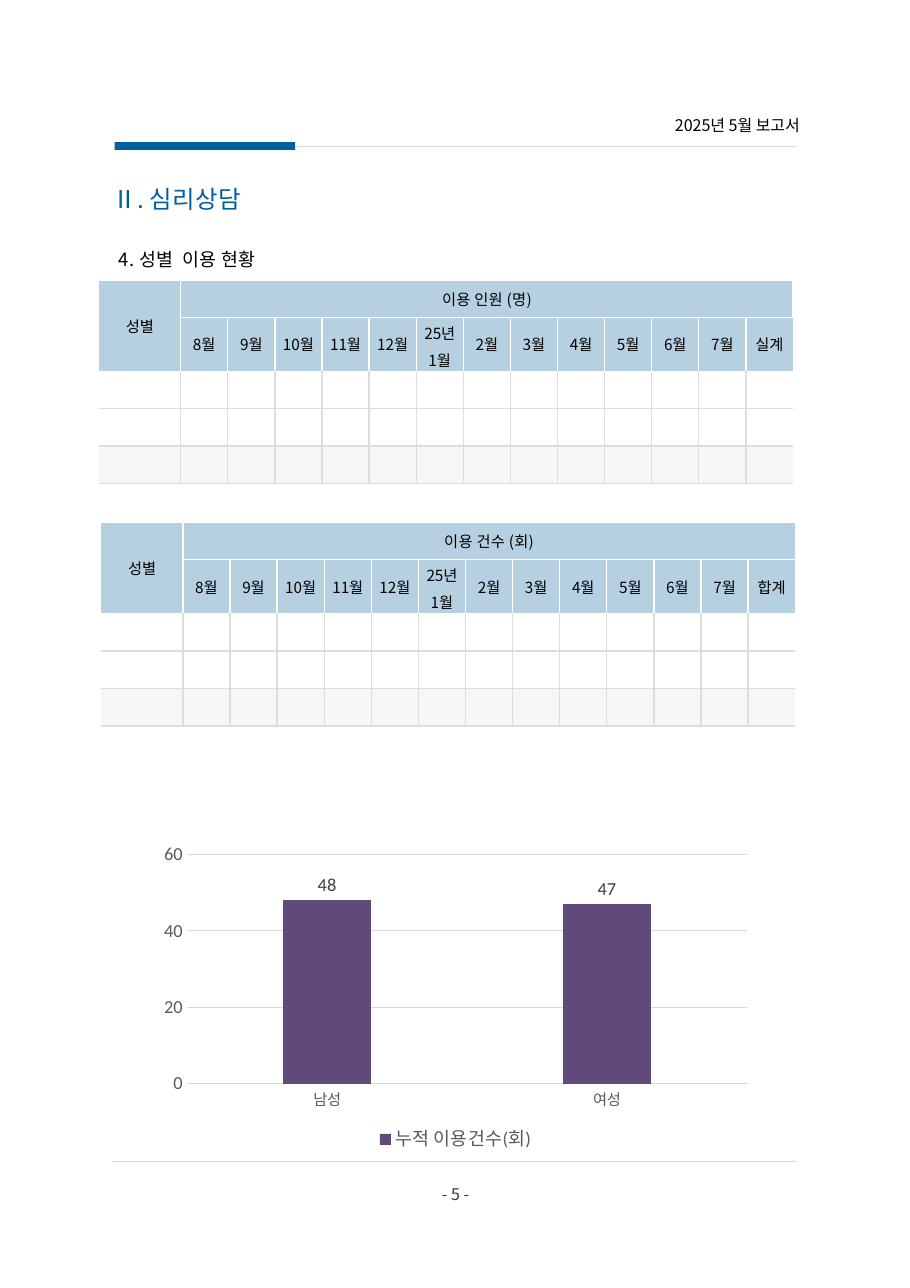
from lxml import etree
from pptx import Presentation
from pptx.chart.data import CategoryChartData
from pptx.dml.color import RGBColor
from pptx.enum.chart import XL_CHART_TYPE, XL_LABEL_POSITION, XL_LEGEND_POSITION, XL_TICK_MARK
from pptx.enum.shapes import MSO_CONNECTOR, MSO_SHAPE
from pptx.enum.text import MSO_ANCHOR, MSO_AUTO_SIZE, PP_ALIGN
from pptx.oxml.ns import qn
from pptx.util import Inches, Pt

LEFT, CENTER, RIGHT, JUSTIFY = PP_ALIGN.LEFT, PP_ALIGN.CENTER, PP_ALIGN.RIGHT, PP_ALIGN.JUSTIFY
KOREAN, LATIN = "Noto Sans CJK KR", "Calibri"
BLUE, HEAD, TOTAL, RULE, GRID = "005FA1", "B6D0E1", "F6F6F6", "D9D9D9", "DDDDDD"
rgb = RGBColor.from_string


def style(font, size, color, name=KOREAN, spacing=None):
    font.size, font.color.rgb, font.name = Pt(size), rgb(color), name
    rPr = font.fill._xPr
    etree.SubElement(rPr, qn("a:ea"), typeface=name)
    if spacing:
        rPr.set("spc", str(spacing))


def paragraph(p, size, color, align, before=0, spacing=None):
    p.alignment, p.space_before = align, Pt(before)
    for r in p.runs:
        style(r.font, size, color, spacing=spacing)


prs = Presentation()
prs.slide_width, prs.slide_height = Inches(8.26), Inches(11.69)
s = prs.slides.add_slide(prs.slide_layouts[5])

# Header and footer rules, with the blue accent bar
for x, y in ((2.51, 1.33), (1.03, 10.54)):
    rule = s.shapes.add_connector(MSO_CONNECTOR.STRAIGHT, Inches(x), Inches(y), Inches(7.23), Inches(y))
    rule.line.color.rgb, rule.line.width = rgb(RULE), Pt(0.75)
    etree.SubElement(rule._element.spPr, qn("a:effectLst"))
bar = s.shapes.add_shape(MSO_SHAPE.RECTANGLE, Inches(1.04), Inches(1.29), Inches(1.64), Inches(0.07))
bar.shadow.inherit = False
bar.fill.solid()
bar.fill.fore_color.rgb = rgb(BLUE)
bar.line.fill.background()

# Title
title = s.shapes.title
title.left, title.top, title.width, title.height = (Inches(v) for v in (0.92, 1.62, 2.34, 0.37))
tf = title.text_frame
tf.text = "Ⅱ. 심리상담"
tf.vertical_anchor, tf.auto_size = MSO_ANCHOR.TOP, MSO_AUTO_SIZE.SHAPE_TO_FIT_TEXT
paragraph(tf.paragraphs[0], 16, BLUE, LEFT, spacing=20)

# Report date, section heading and page number
texts = (
    ("2025년 5월 보고서", (5.57, 1.04, 1.69, 0.19), 0.01, 10.5, "000000", RIGHT, 1, 1, None),
    (" 4. 성별  이용 현황", (1.04, 2.07, 6.18, 0.36), 0.08, 12, "000000", JUSTIFY, 6, 1.5, 20),
    ("- 5 -", (3.93, 10.72, 0.41, 0.2), 0.03, 10.5, "333333", CENTER, 1.9, 1, None),
)
for text, box, inset, size, color, align, before, line_spacing, spacing in texts:
    tf = s.shapes.add_textbox(*(Inches(v) for v in box)).text_frame
    tf.word_wrap, tf.auto_size = True, MSO_AUTO_SIZE.SHAPE_TO_FIT_TEXT
    tf.margin_left = tf.margin_right = tf.margin_bottom = 0
    tf.margin_top = Inches(inset)
    tf.text = text
    paragraph(tf.paragraphs[0], size, color, align, before, spacing)
    tf.paragraphs[0].line_spacing = line_spacing

# Monthly tables: visitors, then visits
MONTHS = ["8월", "9월", "10월", "11월", "12월", "25년\n1월", "2월", "3월", "4월", "5월", "6월", "7월"]
ROWS = (0.34, 0.49, 0.34, 0.34, 0.34)
WIDTH, FIRST = 6.3, 0.74
COLS = len(MONTHS) + 2
for x, y, heading, last in ((0.9, 2.54, "이용 인원 (명)", "실계"), (0.92, 4.74, "이용 건수 (회)", "합계")):
    table = s.shapes.add_table(len(ROWS), COLS, Inches(x), Inches(y), Inches(WIDTH), Inches(sum(ROWS))).table
    table.first_row = table.horz_banding = False
    for i, column in enumerate(table.columns):
        column.width = Inches(FIRST if i == 0 else (WIDTH - FIRST) / (COLS - 1))
    for row, height in zip(table.rows, ROWS):
        row.height = Inches(height)
    table.cell(0, 0).merge(table.cell(1, 0))
    table.cell(0, 1).merge(table.cell(0, COLS - 1))

    labels = {(0, 0): "성별", (0, 1): heading}
    labels.update({(1, c): text for c, text in enumerate(MONTHS + [last], 1)})
    for r in range(len(ROWS)):
        for c in range(COLS):
            cell = table.cell(r, c)
            cell.margin_left = cell.margin_right = cell.margin_top = cell.margin_bottom = Inches(0.04)
            cell.vertical_anchor = MSO_ANCHOR.MIDDLE
            if (r, c) in labels:
                cell.text = labels[r, c]
                for p in cell.text_frame.paragraphs:
                    paragraph(p, 10, "000000", CENTER, 9 if r == 0 else 3.4, 20 if (r, c) == (0, 1) else None)
            else:
                etree.SubElement(cell.text_frame.paragraphs[0]._p, qn("a:endParaRPr"), sz="1000")

            # Fill and borders: white in the header, grey below, open at both sides
            if r in (2, 3):
                cell.fill.background()
            else:
                cell.fill.solid()
                cell.fill.fore_color.rgb = rgb(HEAD if r < 2 else TOTAL)
            side = "FFFFFF" if r < 2 else GRID
            edges = (("L", side if c else None), ("R", side if c < COLS - 1 else None),
                     ("T", "FFFFFF" if r < 3 else GRID), ("B", side))
            tcPr = cell._tc.get_or_add_tcPr()
            for i, (edge, color) in enumerate(edges):
                ln = etree.Element(qn("a:ln" + edge), w=str(Pt(1)))
                if color:
                    etree.SubElement(etree.SubElement(ln, qn("a:solidFill")), qn("a:srgbClr"), val=color)
                else:
                    etree.SubElement(ln, qn("a:noFill"))
                tcPr.insert(i, ln)

# Column chart of visits by gender
data = CategoryChartData()
data.categories = ["남성", "여성"]
data.add_series("누적 이용건수(회)", (48, 47))
chart = s.shapes.add_chart(XL_CHART_TYPE.COLUMN_CLUSTERED, Inches(1.38), Inches(7.6),
                           Inches(5.51), Inches(2.88), data).chart
style(chart.font, 10, "000000", LATIN)
chart.has_title = False
chart.has_legend = True
chart.legend.position, chart.legend.include_in_layout = XL_LEGEND_POSITION.BOTTOM, False
style(chart.legend.font, 12, "595959", LATIN)

plot = chart.plots[0]
plot.gap_width, plot.overlap, plot.vary_by_categories = 219, -27, False
plot.has_data_labels = True
plot.data_labels.show_value = True
plot.data_labels.position = XL_LABEL_POSITION.OUTSIDE_END
style(plot.data_labels.font, 12, "404040", LATIN)
fill = plot.series[0].format.fill
fill.solid()
fill.fore_color.rgb = rgb("604A7B")

cat, val = chart.category_axis, chart.value_axis
for axis, size, name in ((cat, 10, KOREAN), (val, 12, LATIN)):
    axis.major_tick_mark = axis.minor_tick_mark = XL_TICK_MARK.NONE
    style(axis.tick_labels.font, size, "595959", name)
val.minimum_scale, val.maximum_scale, val.major_unit = 0, 60, 20
val.format.line.fill.background()
for line in (cat.format.line, val.major_gridlines.format.line):
    line.color.rgb, line.width = rgb(RULE), Pt(0.75)

prs.save("out.pptx")
